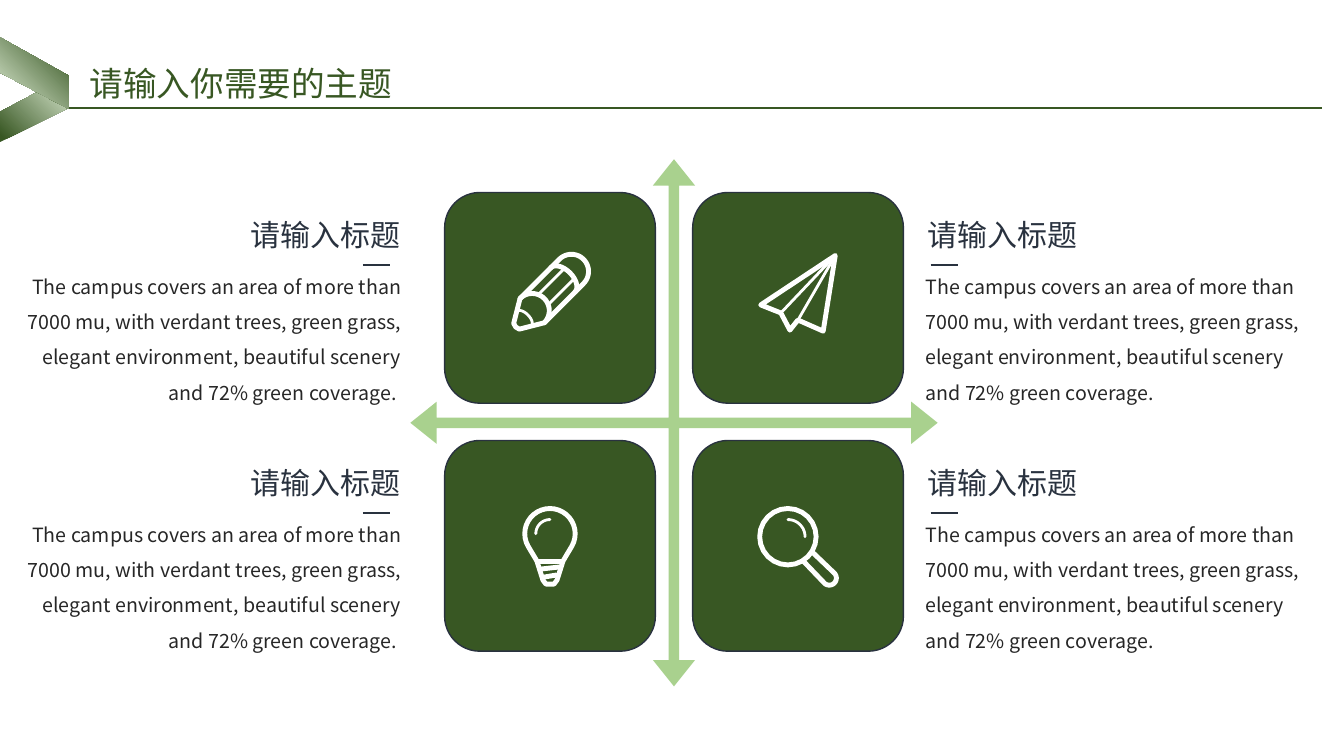
from math import cos, radians, sin, sqrt

from lxml.etree import SubElement
from pptx import Presentation
from pptx.dml.color import RGBColor
from pptx.enum.shapes import MSO_CONNECTOR, MSO_SHAPE
from pptx.enum.text import MSO_ANCHOR, PP_ALIGN
from pptx.oxml.ns import qn
from pptx.util import Inches, Pt

GREEN = RGBColor(0x38, 0x57, 0x23)
LIGHT = RGBColor(0xA9, 0xD1, 0x8E)
PALE = RGBColor(0xE2, 0xF0, 0xD9)
NAVY = RGBColor(0x29, 0x32, 0x3F)
INK = RGBColor(0x26, 0x26, 0x26)
WHITE = RGBColor(0xFF, 0xFF, 0xFF)
FONT = "Noto Sans CJK SC"
HEAD = "请输入标题"
BODY = ("The campus covers an area of more than 7000 mu, with verdant trees, "
        "green grass, elegant environment, beautiful scenery and 72% green coverage.")
TILE, STEP = 2.09, 2.46
THICK, THIN = 3.5, 2


def arc(x, y, rx, ry, start, end):
    """Points on an ellipse, in degrees clockwise from the right."""
    turns = [radians(start + (end - start) * i / 24) for i in range(25)]
    return [(x + rx * cos(t), y + ry * sin(t)) for t in turns]


def tilt(points):
    """Turn points so that their first axis runs to the upper right."""
    return [((u + v) / sqrt(2), (v - u) / sqrt(2)) for u, v in points]


def trace(slide, x, y, points, close):
    spots = [(Inches(x + dx), Inches(y + dy)) for dx, dy in points]
    path = slide.shapes.build_freeform(*spots[0])
    path.add_line_segments(spots[1:], close=close)
    shape = path.convert_to_shape()
    shape.shadow.inherit = False
    return shape


def rule(slide, x1, x2, y, color):
    line = slide.shapes.add_connector(
        MSO_CONNECTOR.STRAIGHT, Inches(x1), Inches(y), Inches(x2), Inches(y))
    line.line.color.rgb = color
    line.line.width = Pt(1.5)
    SubElement(line._element.spPr, qn("a:effectLst"))


def write(shape, text, size, color, align, wrap=True, spacing=1.0):
    frame = shape.text_frame
    for name, value in {"word_wrap": wrap, "vertical_anchor": MSO_ANCHOR.TOP,
                        "margin_left": Inches(0.1), "margin_right": Inches(0.1),
                        "margin_top": Inches(0.05),
                        "margin_bottom": Inches(0.05)}.items():
        setattr(frame, name, value)
    para = frame.paragraphs[0]
    para.alignment = align
    para.line_spacing = spacing
    run = para.add_run()
    run.text = text
    for name, value in {"size": Pt(size), "name": FONT, "bold": False}.items():
        setattr(run.font, name, value)
    run.font.color.rgb = color
    SubElement(run.font._element, qn("a:ea"), typeface=FONT)


def pencil():
    side, curl = 0.17, arc(0.3, 0, 0.17, 0.17, -90, 90)
    outline = [(-0.47, 0.04), (-0.48, 0), (-0.47, -0.04), (-0.25, -side),
               *curl, (-0.25, side)]
    parts = [(THICK, True, outline),
             (THICK, False, arc(-0.25, 0, 0.17, side, -90, 90)),
             (THICK, False, arc(0.18, 0, 0.1, side, -90, 90)),
             (THIN, False, arc(-0.36, 0, 0.05, 0.1, -90, 90))]
    parts += [(THIN, False, [(-0.1, v), (0.25, v)]) for v in (-0.07, 0.07)]
    return [(width, close, tilt(points)) for width, close, points in parts]


def plane():
    nose, fold, notch = (0.37, -0.37), (-0.17, 0.2), (0, 0.27)
    outline = [nose, (-0.37, 0.12), fold, (-0.08, 0.37), notch, (0.25, 0.38)]
    return [(THICK, True, outline), (THIN, False, [nose, fold]),
            (THIN, False, [nose, notch])]


def bulb():
    outline = arc(0, -0.13, 0.25, 0.25, 150, 390)
    outline += [(0.13, 0.14), (0.07, 0.33), (0.04, 0.37),
                (-0.04, 0.37), (-0.07, 0.33), (-0.13, 0.14)]
    parts = [(THICK, True, outline),
             (THIN, False, arc(0, -0.13, 0.14, 0.14, 180, 270))]
    rings = ((0.12, 0.15, 0.15), (0.09, 0.22, 0.2), (0.06, 0.3, 0.28))
    return parts + [(THICK, False, [(-x, left), (x, right)])
                    for x, left, right in rings]


def lens():
    grip = [(0.06, 0.15), *arc(0.31, 0.31, 0.07, 0.07, 135, -45), (0.15, 0.06)]
    return [(THICK, True, arc(-0.1, -0.1, 0.28, 0.28, 0, 360)),
            (THIN, False, arc(-0.1, -0.1, 0.17, 0.17, 270, 360)),
            (THICK, False, grip)]


def icon(slide, x, y, parts):
    for width, close, points in parts:
        shape = trace(slide, x, y, points, close)
        shape.fill.background()
        shape.line.color.rgb = WHITE
        shape.line.width = Pt(width)
        edge = shape.line._get_or_add_ln()
        edge.set("cap", "rnd")
        SubElement(edge, qn("a:round"))


def banner(slide, x, y, width):
    """Title with its rule and the ribbon at the left edge."""
    ribbon = ((225, [(0, 0), (0.68, 0.38), (0.68, 0.71), (0, 0.35)]),
              (45, [(0, 1.04), (0.68, 0.7), (0.68, 0.38), (0, 0.74)]))
    for angle, points in reversed(ribbon):
        band = trace(slide, x, y, points, True)
        band.line.fill.background()
        band.fill.gradient()
        band.fill.gradient_angle = angle
        for stop, color, place in zip(band.fill.gradient_stops,
                                      (GREEN, PALE), (0.05, 1)):
            stop.color.rgb = color
            stop.position = place
    rule(slide, x + 0.68, x + width, y + 0.7, GREEN)
    title = slide.shapes.title
    for name, value in {"left": x + 0.79, "top": y + 0.2,
                        "width": 6.66, "height": 0.5}.items():
        setattr(title, name, Inches(value))
    write(title, "请输入你需要的主题", 24, GREEN, PP_ALIGN.LEFT)


def card(slide, x, y, right, draw, lift):
    """Tile with its icon, and its words on the outer side."""
    tile = slide.shapes.add_shape(MSO_SHAPE.ROUNDED_RECTANGLE, Inches(x),
                                  Inches(y), Inches(TILE), Inches(TILE))
    tile.shadow.inherit = False
    tile.fill.solid()
    tile.fill.fore_color.rgb = GREEN
    tile.line.color.rgb = NAVY
    tile.line.width = Pt(1)
    icon(slide, x + TILE / 2, y + TILE / 2 + lift, draw())

    head, text, dash = (2.21, 2.21, 2.36) if right else (-2.04, -4.35, -0.81)
    box = slide.shapes.add_textbox(Inches(x + head), Inches(y + 0.19),
                                   Inches(1.7), Inches(0.46))
    write(box, HEAD, 21.4, NAVY, PP_ALIGN.RIGHT, wrap=False)
    box = slide.shapes.add_textbox(Inches(x + text), Inches(y + 0.65),
                                   Inches(4.02), Inches(1.48))
    if right:
        write(box, BODY, 14, INK, PP_ALIGN.LEFT, spacing=1.5)
    else:
        write(box, BODY + " ", 14, INK, PP_ALIGN.RIGHT, spacing=1.5)
    rule(slide, x + dash, x + dash + 0.27, y + 0.72, NAVY)


def matrix(slide, x, y, size):
    """Four-way arrow with a card in each quarter."""
    cross = slide.shapes.add_shape(MSO_SHAPE.QUAD_ARROW, Inches(x), Inches(y),
                                   Inches(size), Inches(size))
    cross.shadow.inherit = False
    cross.fill.solid()
    cross.fill.fore_color.rgb = LIGHT
    cross.line.fill.background()
    for i, value in enumerate((0.02, 0.04, 0.05)):
        cross.adjustments[i] = value
    for i, draw in enumerate((pencil, plane, bulb, lens)):
        row, col = divmod(i, 2)
        card(slide, x + 0.34 + col * STEP, y + 0.33 + row * STEP,
             col == 1, draw, 0.01 if row else -0.05)


def main():
    deck = Presentation()
    deck.slide_width, deck.slide_height = Inches(13.33), Inches(7.5)
    slide = deck.slides.add_slide(deck.slide_layouts[5])
    matrix(slide, 4.07, 1.58, 5.23)
    banner(slide, 0, 0.37, 13.11)
    deck.save("out.pptx")


if __name__ == "__main__":
    main()
